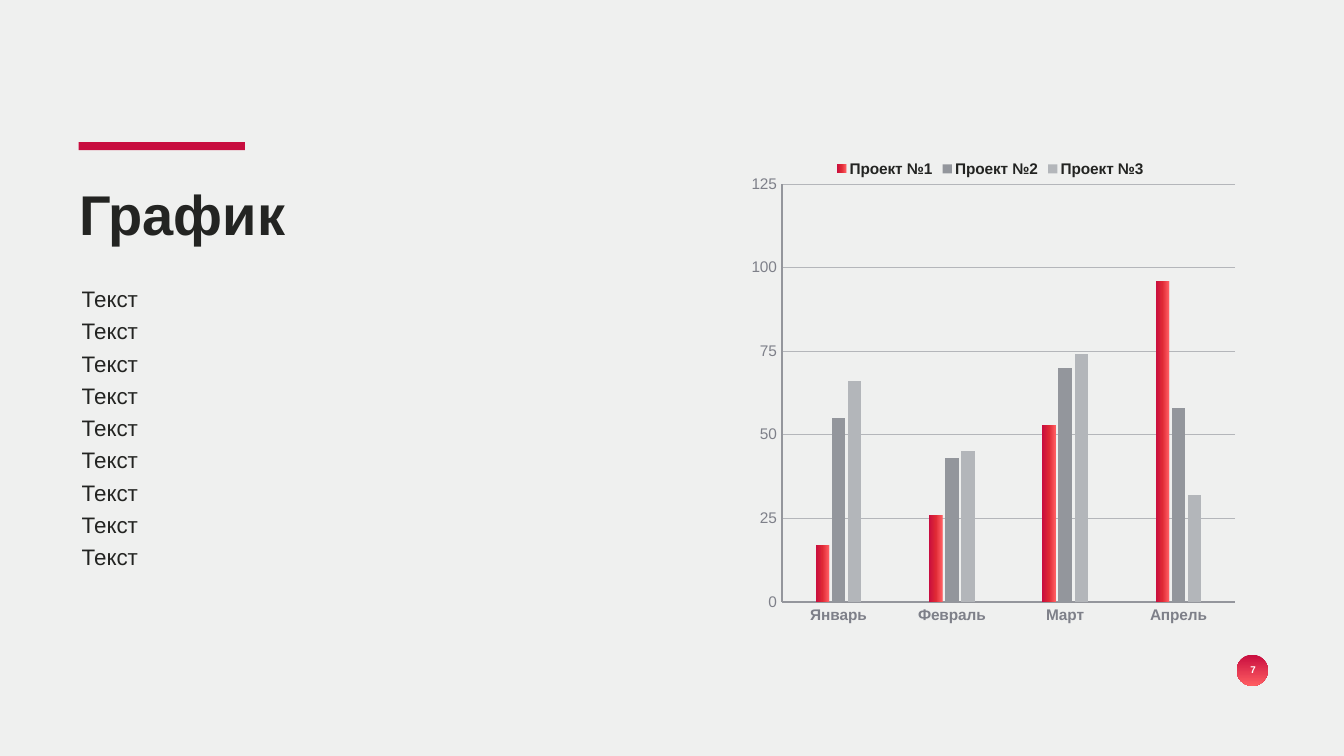
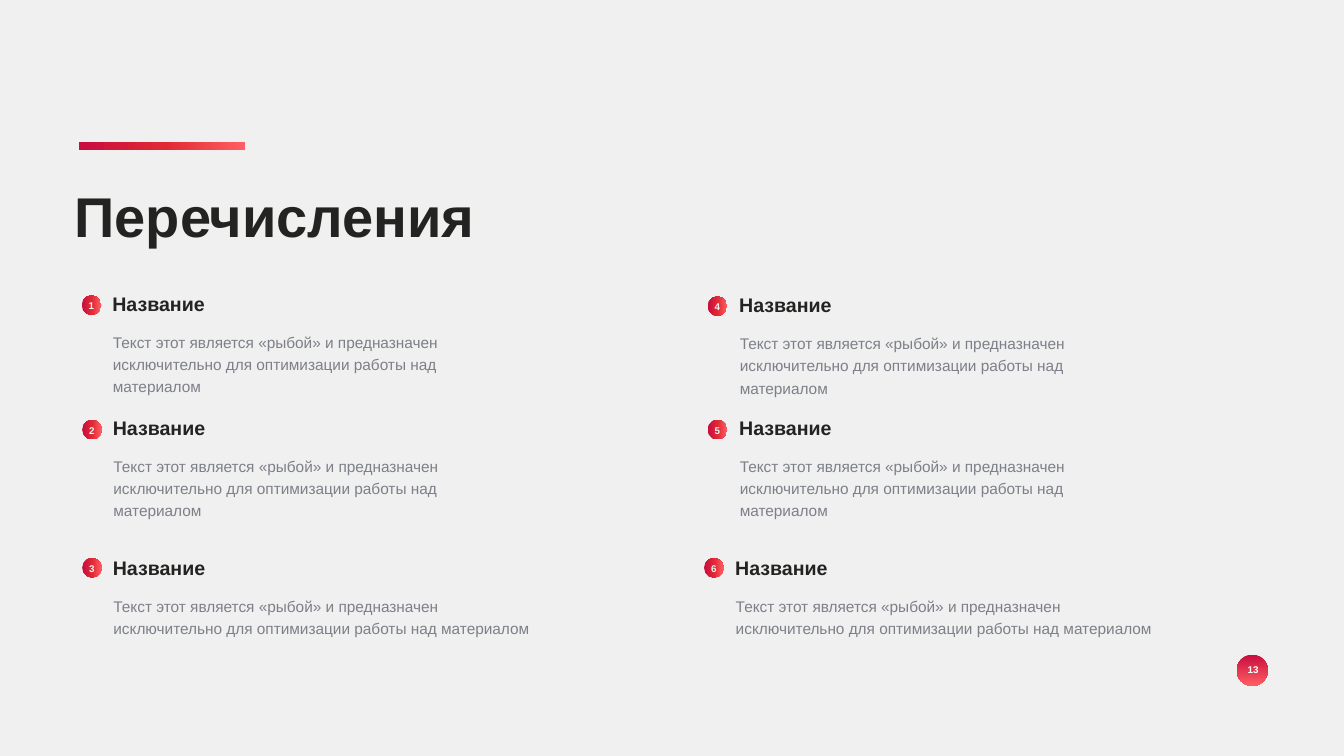
from copy import deepcopy

from lxml import etree
from pptx import Presentation
from pptx import util as u
from pptx.chart.data import CategoryChartData
from pptx.dml.color import RGBColor
from pptx.enum import chart as charts, shapes, text
from pptx.oxml.ns import qn

FONT = "Arial"
BACKGROUND = RGBColor(0xEF, 0xF0, 0xEF)
INK = RGBColor(0x23, 0x24, 0x22)
GREY = RGBColor(0x7E, 0x80, 0x89)
AXIS = RGBColor(0x94, 0x96, 0x9C)
GRID = RGBColor(0xB4, 0xB6, 0xBA)
CRIMSON = RGBColor(0xC8, 0x0D, 0x3F)
RED = RGBColor(0xDF, 0x29, 0x35)
CORAL = RGBColor(0xFF, 0x5E, 0x62)
WHITE = RGBColor(0xFF, 0xFF, 0xFF)

ACROSS = ([(0.01, CRIMSON), (0.51, RED), (1, CORAL)], 0)
DOWNWARD = ([(0, CRIMSON), (1, CORAL)], 270)

CHART_TITLE = "График"
CHART_LINES = ["Текст"] * 9
MONTHS = ["Январь", "Февраль", "Март", "Апрель"]
PROJECTS = [
    ("Проект №1", [17, 26, 53, 96], ACROSS),
    ("Проект №2", [55, 43, 70, 58], RGBColor(0x93, 0x96, 0x9C)),
    ("Проект №3", [66, 45, 74, 32], RGBColor(0xB3, 0xB6, 0xBA)),
]
PLOT_AREA = {"x": 0.079, "y": 0.063, "w": 0.916, "h": 0.871}

LIST_TITLE = "Перечисления"
ITEM_NAME = "Название"
ITEM_TEXT = ("Текст этот является «рыбой» и предназначен "
             "исключительно для оптимизации работы над материалом")
NARROW, WIDE = (8.35, 1.4), (8.78, 0.96)
ITEMS = [
    (2.17, 5.73, 0.55, 0.13, NARROW),
    (2.18, 8.2, 0.55, 0.13, NARROW),
    (2.18, 10.97, 0.55, 0.1, WIDE),
    (14.61, 5.76, 0.57, 0.12, NARROW),
    (14.61, 8.2, 0.57, 0.13, NARROW),
    (14.53, 10.97, 0.56, 0.1, WIDE),
]
BADGE = 0.39


def style_font(font, size, color, bold=False):
    font.name, font.size, font.bold = FONT, u.Pt(size), bold
    font.color.rgb = color


def paint(fill, properties, color):
    if isinstance(color, RGBColor):
        fill.solid()
        fill.fore_color.rgb = color
        return
    stops, angle = color
    fill.gradient()
    fill.gradient_angle = angle
    stop_list = properties.find(".//" + qn("a:gsLst"))
    while len(stop_list) < len(stops):
        stop_list.append(deepcopy(stop_list[0]))
    for stop, (position, stop_color) in zip(fill.gradient_stops, stops):
        stop.position = position
        stop.color.rgb = stop_color


def add_block(parent, kind, left, top, width, height, color):
    shape = parent.add_shape(kind, *map(u.Inches, (left, top, width, height)))
    shape.shadow.inherit = False
    shape.line.fill.background()
    paint(shape.fill, shape._element.spPr, color)


def add_text(parent, left, top, width, height, lines, size, color, bold=False,
             centred=False, spacing=None, wrap=True, middle=False):
    box = parent.add_textbox(*map(u.Inches, (left, top, width, height)))
    frame = box.text_frame
    frame.text = "\n".join(lines)
    frame.word_wrap = wrap
    frame.auto_size = text.MSO_AUTO_SIZE.SHAPE_TO_FIT_TEXT
    frame.margin_left = frame.margin_right = u.Inches(0.06)
    frame.margin_top = frame.margin_bottom = u.Inches(0.06)
    if middle:
        frame.vertical_anchor = text.MSO_ANCHOR.MIDDLE
    for paragraph in frame.paragraphs:
        if centred:
            paragraph.alignment = text.PP_ALIGN.CENTER
        if spacing:
            paragraph.line_spacing = spacing
        for run in paragraph.runs:
            style_font(run.font, size, color, bold)


def add_slide(presentation, number, title, title_box, bar_color, wrap=True):
    slide = presentation.slides.add_slide(presentation.slide_layouts[6])
    slide.background.fill.solid()
    slide.background.fill.fore_color.rgb = BACKGROUND
    add_block(slide.shapes, shapes.MSO_SHAPE.OVAL, 24.54, 12.99, 0.62, 0.62, DOWNWARD)
    add_text(slide.shapes, 24, 13.11, 1.73, 0.35, [str(number)], 14, WHITE,
             bold=True, centred=True, middle=True)
    add_block(slide.shapes, shapes.MSO_SHAPE.RECTANGLE, 1.56, 2.82, 3.3, 0.16, bar_color)
    add_text(slide.shapes, *title_box, [title], 80, INK, bold=True, wrap=wrap)
    return slide


def style_axis(axis, bold):
    axis.major_tick_mark = axis.minor_tick_mark = charts.XL_TICK_MARK.NONE
    axis.tick_label_position = charts.XL_TICK_LABEL_POSITION.LOW
    style_font(axis.tick_labels.font, 22, GREY, bold)
    axis.format.line.color.rgb = AXIS
    axis.format.line.width = u.Pt(2)


def place_plot_area(chart):
    plot_area = chart._chartSpace.chart.plotArea
    for old_layout in plot_area.findall(qn("c:layout")):
        plot_area.remove(old_layout)
    layout = etree.Element(qn("c:layout"))
    manual = etree.SubElement(layout, qn("c:manualLayout"))
    settings = {"layoutTarget": "inner", "xMode": "edge", "yMode": "edge", **PLOT_AREA}
    for tag, value in settings.items():
        etree.SubElement(manual, qn("c:" + tag)).set("val", str(value))
    plot_area.insert(0, layout)


def add_project_chart(slide):
    data = CategoryChartData()
    data.categories = MONTHS
    for name, values, _ in PROJECTS:
        data.add_series(name, values)
    chart = slide.shapes.add_chart(
        charts.XL_CHART_TYPE.COLUMN_CLUSTERED,
        *map(u.Inches, (14.74, 3.05, 9.82, 9.52)), data).chart
    style_font(chart.font, 10, INK)
    chart.has_title = False
    chart.has_legend = True
    chart.legend.position = charts.XL_LEGEND_POSITION.TOP
    chart.legend.include_in_layout = True
    style_font(chart.legend.font, 22, INK, bold=True)

    plot = chart.plots[0]
    plot.gap_width, plot.overlap = 500, -20
    plot.vary_by_categories = False
    for series, (_, _, color) in zip(plot.series, PROJECTS):
        paint(series.format.fill, series._element.get_or_add_spPr(), color)

    style_axis(chart.category_axis, bold=True)
    values = chart.value_axis
    style_axis(values, bold=False)
    values.minimum_scale, values.maximum_scale, values.major_unit = 0, 125, 25
    values.major_gridlines.format.line.color.rgb = GRID
    values.major_gridlines.format.line.width = u.Pt(1)
    place_plot_area(chart)


def add_item(slide, number, left, top, badge_gap, badge_drop, text_size):
    group = slide.shapes.add_group_shape().shapes
    add_text(group, left + 0.01, top + 0.74, *text_size, [ITEM_TEXT], 22, GREY, spacing=1.2)
    add_text(group, left, top, 3.26, 0.58, [ITEM_NAME], 28, INK, bold=True)
    badge_left, badge_top = left - badge_gap, top + badge_drop
    add_block(group, shapes.MSO_SHAPE.OVAL, badge_left, badge_top, BADGE, BADGE, ACROSS)
    add_text(group, badge_left, badge_top - 0.01, BADGE, 0.37, [str(number)], 14,
             BACKGROUND, bold=True, centred=True, spacing=1.2)


def main():
    presentation = Presentation()
    presentation.slide_width, presentation.slide_height = u.Inches(26.67), u.Inches(15)

    slide = add_slide(presentation, 7, CHART_TITLE, (1.51, 3.5, 6.7, 1.46), CRIMSON)
    add_project_chart(slide)
    add_text(slide.shapes, 1.56, 5.49, 10.95, 5.87, CHART_LINES, 32, INK, spacing=1.2)

    slide = add_slide(presentation, 13, LIST_TITLE, (1.42, 3.54, 8.18, 1.46), ACROSS, wrap=False)
    for number, item in enumerate(ITEMS, 1):
        add_item(slide, number, *item)

    presentation.save("out.pptx")


if __name__ == "__main__":
    main()
